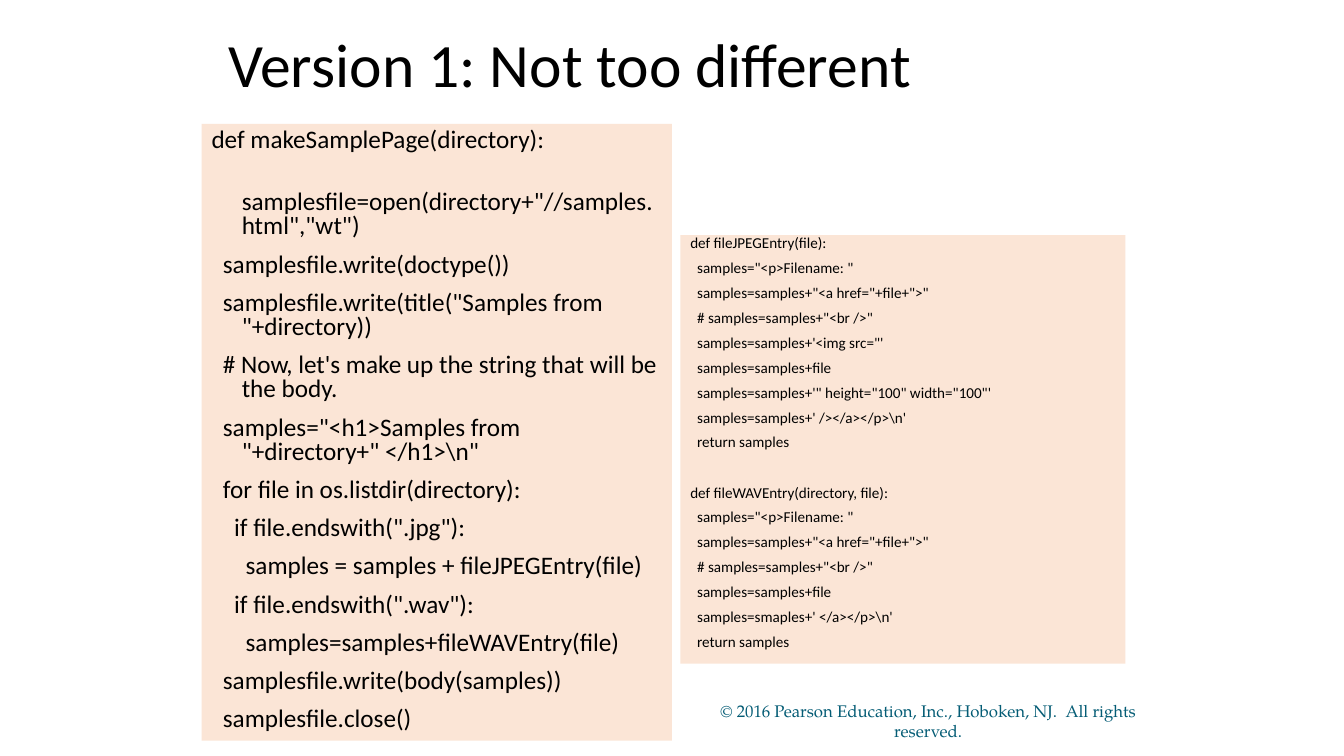
from dataclasses import dataclass

from pptx import Presentation
from pptx.dml.color import RGBColor
from pptx.enum import shapes, text
from pptx.util import Pt


@dataclass(frozen=True)
class Theme:
    ink: str = "000000"
    panel: str = "FBE5D6"
    footer: str = "045C75"
    body_font: str = "Calibri"
    footer_font: str = "TeX Gyre Pagella"
    title_size: float = 44
    main_size: float = 18
    helper_size: float = 10.8
    footer_size: float = 12
    hang: float = 21.6
    code_gap: float = 10
    function_gap: float = 28


MAIN_CODE = r'''def makeSamplePage(directory):
  samplesfile=open(directory+"//samples.html","wt")
  samplesfile.write(doctype())
  samplesfile.write(title("Samples from "+directory))
  # Now, let's make up the string that will be the body.
  samples="<h1>Samples from "+directory+" </h1>\n"
  for file in os.listdir(directory):
    if file.endswith(".jpg"):
      samples = samples + fileJPEGEntry(file)
    if file.endswith(".wav"):
      samples=samples+fileWAVEntry(file)
  samplesfile.write(body(samples))
  samplesfile.close()'''

JPEG_CODE = r'''def fileJPEGEntry(file):
  samples="<p>Filename: "
  samples=samples+"<a href="+file+">"
  # samples=samples+"<br />"
  samples=samples+'<img src="'
  samples=samples+file
  samples=samples+'" height="100" width="100"'
  samples=samples+' /></a></p>\n'
  return samples'''

WAV_CODE = r'''def fileWAVEntry(directory, file):
  samples="<p>Filename: "
  samples=samples+"<a href="+file+">"
  # samples=samples+"<br />"
  samples=samples+file
  samples=smaples+' </a></p>\n'
  return samples'''


class SlideBuilder:
    def __init__(self, page, theme):
        self.page = page
        self.theme = theme

    def place(self, box, area):
        for side, length in zip(("left", "top", "width", "height"), area):
            setattr(box, side, Pt(length))

    def frame(self, box, anchor):
        frame = box.text_frame
        settings = {"word_wrap": True, "auto_size": text.MSO_AUTO_SIZE.NONE,
                    "vertical_anchor": anchor}
        for name, value in settings.items():
            setattr(frame, name, value)
        return frame

    def add_words(self, para, words, size, font, color, **layout):
        for name, value in layout.items():
            setattr(para, name, value)
        span = para.add_run()
        span.text = words
        for name, value in {"size": Pt(size), "name": font}.items():
            setattr(span.font, name, value)
        span.font.color.rgb = RGBColor.from_string(color)

    def title(self, words, area):
        box = self.page.shapes.title
        self.place(box, area)
        frame = self.frame(box, text.MSO_ANCHOR.MIDDLE)
        self.add_words(frame.paragraphs[0], words, self.theme.title_size,
                       self.theme.body_font, self.theme.ink,
                       alignment=text.PP_ALIGN.LEFT, line_spacing=0.9)

    def code_panel(self, functions, area, size, spacing):
        box = self.page.shapes.add_shape(
            shapes.MSO_SHAPE.RECTANGLE, *map(Pt, area))
        box.shadow.inherit = False
        box.fill.solid()
        box.fill.fore_color.rgb = RGBColor.from_string(self.theme.panel)
        box.line.fill.background()
        frame = self.frame(box, text.MSO_ANCHOR.TOP)
        for f, function in enumerate(functions):
            for n, line in enumerate(function.splitlines()):
                first = f == n == 0
                para = frame.paragraphs[0] if first else frame.add_paragraph()
                gap = self.theme.function_gap if n == 0 else self.theme.code_gap
                # Wrapped code hangs behind its first line
                layout = para._p.get_or_add_pPr()
                layout.set("marL", str(Pt(self.theme.hang)))
                layout.set("indent", str(-Pt(self.theme.hang)))
                self.add_words(para, line, size, self.theme.body_font,
                               self.theme.ink, alignment=text.PP_ALIGN.LEFT,
                               line_spacing=spacing,
                               space_before=Pt(0 if first else gap))

    def footer(self, words, area):
        box = self.page.shapes.add_textbox(*map(Pt, area))
        frame = self.frame(box, text.MSO_ANCHOR.MIDDLE)
        self.add_words(frame.paragraphs[0], words, self.theme.footer_size,
                       self.theme.footer_font, self.theme.footer,
                       alignment=text.PP_ALIGN.CENTER)


def main():
    deck = Presentation()
    deck.slide_width, deck.slide_height = Pt(960), Pt(540)
    theme = Theme()
    slide = SlideBuilder(deck.slides.add_slide(deck.slide_layouts[5]), theme)

    # Title
    slide.title("Version 1: Not too different", (156, 17.5, 648, 62))

    # Code: main function on the left, helpers on the right
    slide.code_panel([MAIN_CODE], (144, 88.5, 336, 440.5),
                     theme.main_size, 0.8)
    slide.code_panel([JPEG_CODE, WAV_CODE], (486, 168, 318, 306),
                     theme.helper_size, 0.6)

    # Copyright line
    slide.footer("© 2016 Pearson Education, Inc., Hoboken, NJ.  "
                 "All rights reserved.", (486, 500.5, 354, 29))

    deck.save("out.pptx")


if __name__ == "__main__":
    main()
